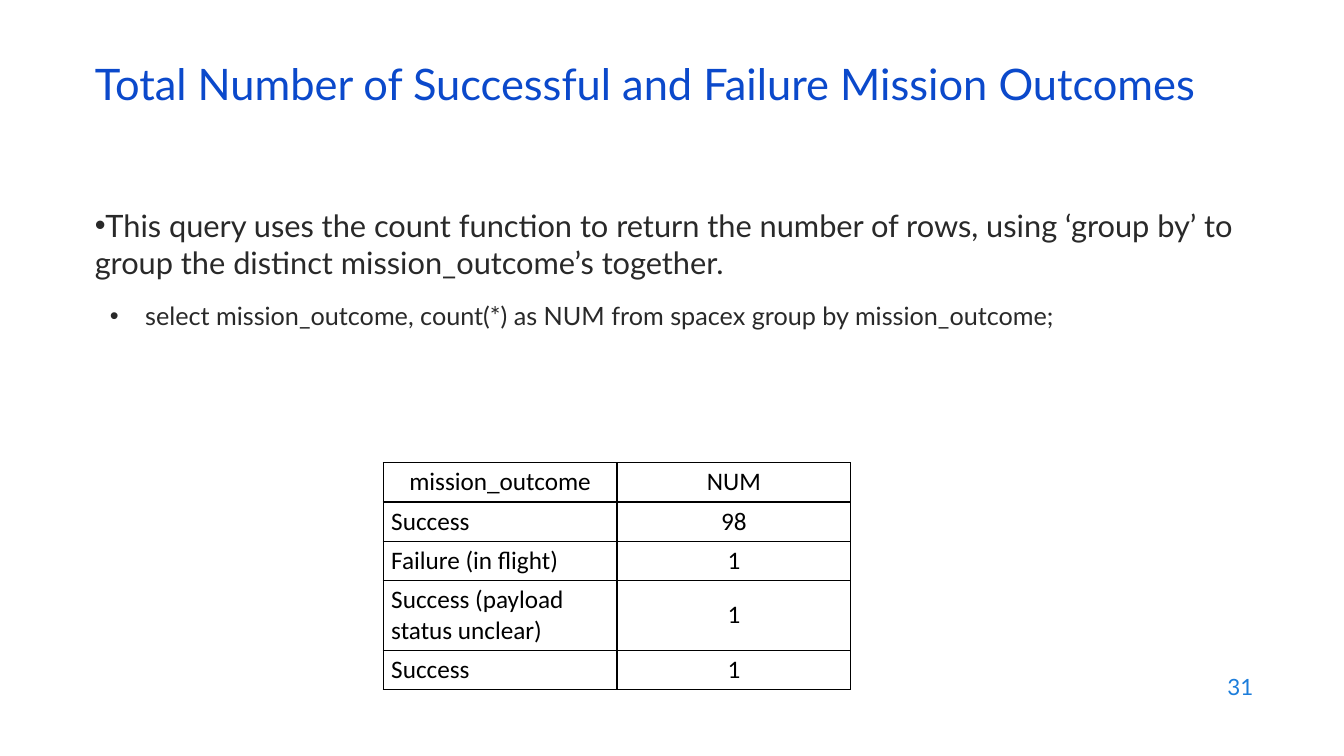
import dataclasses
import typing

import lxml.etree
import pptx
import pptx.dml.color
import pptx.enum.text
import pptx.oxml.ns
import pptx.util

ALIGN = pptx.enum.text.PP_ALIGN
ANCHOR = pptx.enum.text.MSO_ANCHOR
WIDTH, HEIGHT = pptx.util.Inches(13.33), pptx.util.Inches(7.5)
BLACK = "000000"


@dataclasses.dataclass(frozen=True)
class Area:
    """Left, top, width and height in percent of the slide."""
    left: float
    top: float
    width: float
    height: float


@dataclasses.dataclass(frozen=True)
class Style:
    name: str
    size: float
    color: str


@dataclasses.dataclass(frozen=True)
class Bullet:
    text: str
    level: int
    size: float
    margin: float
    indent: float
    before: float


TITLE_AREA = Area(6.3, 7.87, 86.27, 8)
BODY_AREA = Area(6.3, 26.67, 90.1, 63.47)
NUMBER_AREA = Area(71.49, 87.87, 22.51, 5.87)
TABLE_AREA = Area(28.51, 61.2, 34.8, 30)

BULLETS = [
    Bullet("This query uses the count function to return the number of rows, using ‘group by’ to "
           "group the distinct mission_outcome’s together.", 0, 22, 0, 0, 0),
    Bullet("select mission_outcome, count(*) as NUM from spacex group by mission_outcome;",
           1, 18, 0.5, -0.35, 14),
]
OUTCOMES = [
    ("mission_outcome", "NUM"),
    ("Success", "98"),
    ("Failure (in flight)", "1"),
    ("Success (payload status unclear)", "1"),
    ("Success", "1"),
]
ROW_SHARES = [5.2, 5.2, 5.2, 9.2, 5.2]


def across(share: float) -> int:
    return round(WIDTH * share / 100)


def down(share: float) -> int:
    return round(HEIGHT * share / 100)


def rgb(color: str) -> pptx.dml.color.RGBColor:
    return pptx.dml.color.RGBColor.from_string(color)


def apply(target: typing.Any, values: dict[str, typing.Any]) -> None:
    for name, value in values.items():
        setattr(target, name, value)


def frame(area: Area) -> dict[str, int]:
    return {"left": across(area.left), "top": down(area.top),
            "width": across(area.width), "height": down(area.height)}


def write(para: typing.Any, text: str, style: Style, **values: typing.Any) -> None:
    span = para.add_run()
    span.text = text
    apply(span.font, {"name": style.name, "size": pptx.util.Pt(style.size), "bold": False})
    span.font.color.rgb = rgb(style.color)
    apply(para, values)


def set_frame(box: typing.Any, anchor: typing.Any) -> None:
    apply(box.text_frame, {"word_wrap": True, "vertical_anchor": anchor,
                           "auto_size": pptx.enum.text.MSO_AUTO_SIZE.NONE})


def add_bullets(box: typing.Any, bullets: list[Bullet]) -> None:
    for index, bullet in enumerate(bullets):
        para = box.text_frame.paragraphs[0] if index == 0 else box.text_frame.add_paragraph()
        properties = para._p.get_or_add_pPr()
        properties.set("marL", str(pptx.util.Inches(bullet.margin)))
        properties.set("indent", str(pptx.util.Inches(bullet.indent)))
        mark = lxml.etree.SubElement(properties, pptx.oxml.ns.qn("a:buChar"))
        mark.set("char", "•")
        write(para, bullet.text, Style("Lato", bullet.size, "292929"), level=bullet.level,
              alignment=ALIGN.LEFT, space_before=pptx.util.Pt(bullet.before))


def add_borders(cell: typing.Any, color: str, points: float) -> None:
    properties = cell._tc.get_or_add_tcPr()
    for side in ("lnL", "lnR", "lnT", "lnB"):
        line = lxml.etree.SubElement(properties, pptx.oxml.ns.qn(f"a:{side}"),
                                     w=str(pptx.util.Pt(points)))
        fill = lxml.etree.SubElement(line, pptx.oxml.ns.qn("a:solidFill"))
        lxml.etree.SubElement(fill, pptx.oxml.ns.qn("a:srgbClr"), val=color)


def add_outcome_table(page: typing.Any) -> None:
    table = page.shapes.add_table(len(OUTCOMES), 2, **frame(TABLE_AREA)).table
    apply(table, {"first_row": False, "horz_banding": False})
    for column in table.columns:
        column.width = across(TABLE_AREA.width / 2)
    for row, share in zip(table.rows, ROW_SHARES):
        row.height = down(share)
    inset_x, inset_y = pptx.util.Inches(0.08), pptx.util.Inches(0.04)
    for row_index, values in enumerate(OUTCOMES):
        for column_index, text in enumerate(values):
            cell = table.cell(row_index, column_index)
            apply(cell, {"vertical_anchor": ANCHOR.MIDDLE,
                         "margin_left": inset_x, "margin_right": inset_x,
                         "margin_top": inset_y, "margin_bottom": inset_y})
            add_borders(cell, BLACK, 1)
            cell.fill.background()
            centred = row_index == 0 or column_index == 1
            write(cell.text_frame.paragraphs[0], text, Style("Calibri", 18, BLACK),
                  alignment=ALIGN.CENTER if centred else ALIGN.LEFT)


def main() -> None:
    deck = pptx.Presentation()
    apply(deck, {"slide_width": WIDTH, "slide_height": HEIGHT})
    page = deck.slides.add_slide(deck.slide_layouts[1])

    # Title
    title = page.shapes.title
    apply(title, frame(TITLE_AREA))
    set_frame(title, ANCHOR.MIDDLE)
    write(title.text_frame.paragraphs[0], "Total Number of Successful and Failure Mission Outcomes",
          Style("Lato", 31, "0B49CB"), alignment=ALIGN.LEFT, line_spacing=0.7)

    # Query explanation
    body = page.placeholders[1]
    apply(body, frame(BODY_AREA))
    set_frame(body, ANCHOR.TOP)
    add_bullets(body, BULLETS)

    # Query result
    add_outcome_table(page)

    # Page number
    number = page.shapes.add_textbox(**frame(NUMBER_AREA))
    set_frame(number, ANCHOR.MIDDLE)
    write(number.text_frame.paragraphs[0], "31", Style("Lato", 16, "1C7DDB"),
          alignment=ALIGN.RIGHT)

    deck.save("out.pptx")


if __name__ == "__main__":
    main()
